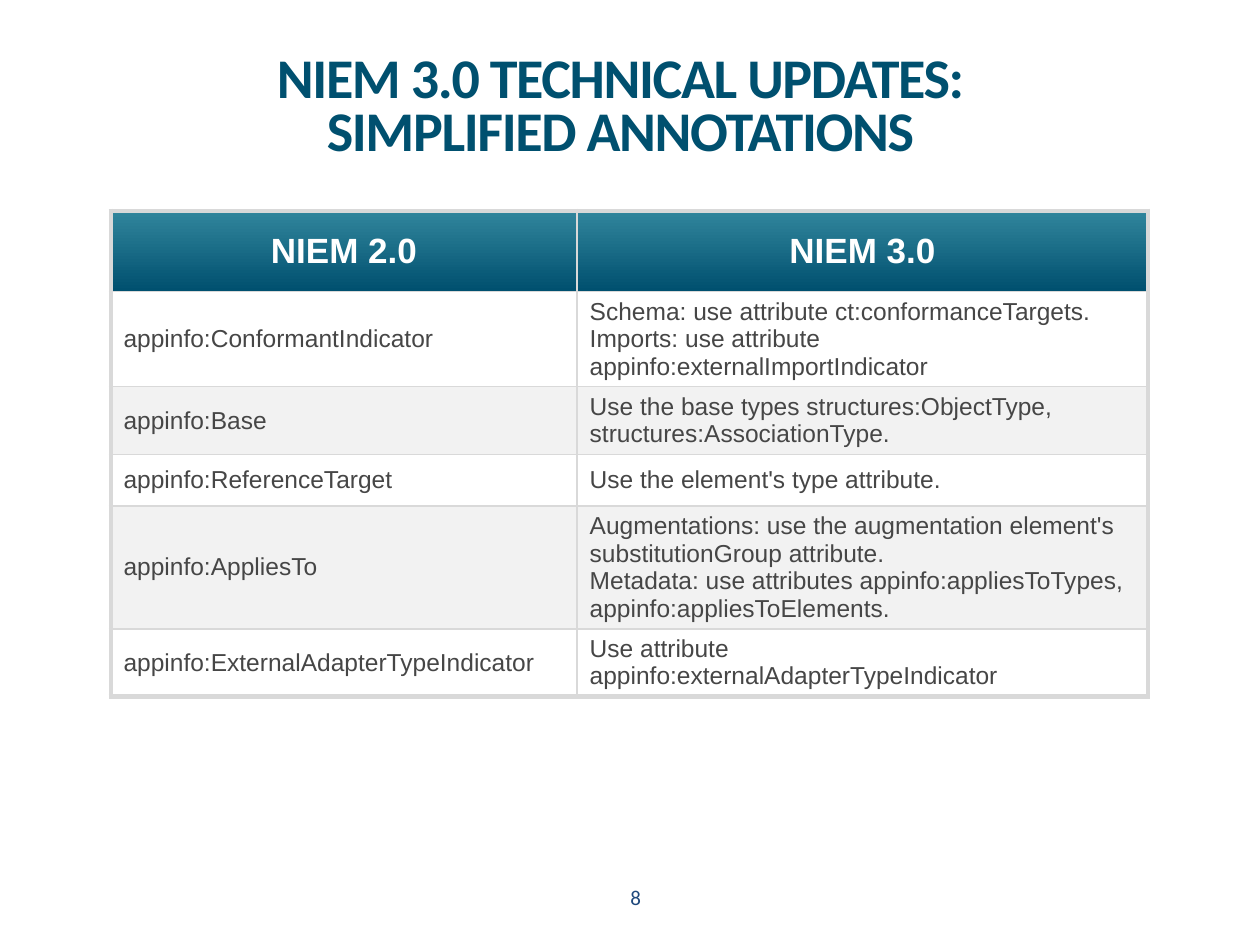
from lxml import etree
from pptx import Presentation
from pptx.dml.color import RGBColor
from pptx.enum.text import MSO_ANCHOR, PP_ALIGN
from pptx.oxml.ns import qn
from pptx.util import Pt

CENTER, LEFT = PP_ALIGN.CENTER, PP_ALIGN.LEFT
MIDDLE = MSO_ANCHOR.MIDDLE
TITLE_ONLY = 5

COLORS = {
    "title": "00506F",
    "header_top": "31859C",
    "header_text": "FFFFFF",
    "body": "464646",
    "band": "F2F2F2",
    "border": "D9D9D9",
    "number": "1F497D",
}
TITLE = ["NIEM 3.0 TECHNICAL UPDATES:", "SIMPLIFIED ANNOTATIONS"]
ROWS = [
    (46, ["NIEM 2.0"], ["NIEM 3.0"]),
    (54.5, ["appinfo:ConformantIndicator"],
     ["Schema: use attribute ct:conformanceTargets.",
      "Imports: use attribute appinfo:externalImportIndicator"]),
    (38.5, ["appinfo:Base"],
     ["Use the base types structures:ObjectType, structures:AssociationType."]),
    (29.5, ["appinfo:ReferenceTarget"], ["Use the element's type attribute."]),
    (70, ["appinfo:AppliesTo"],
     ["Augmentations: use the augmentation element's substitutionGroup attribute.",
      "Metadata: use attributes appinfo:appliesToTypes, appinfo:appliesToElements."]),
    (38.5, ["appinfo:ExternalAdapterTypeIndicator"],
     ["Use attribute appinfo:externalAdapterTypeIndicator"]),
]
COL_WIDTHS = [266.4, 326.2]


def rgb(name):
    return RGBColor.from_string(COLORS[name])


def add_run(p, text, font, size, color, bold=False):
    r = p.add_run()
    r.text = text
    r.font.name = font
    r.font.size = Pt(size)
    r.font.bold = bold
    r.font.color.rgb = rgb(color)
    return r


def place(sp, left, top, width, height):
    sp.left, sp.top, sp.width, sp.height = Pt(left), Pt(top), Pt(width), Pt(height)


def add_title(s):
    sp = s.shapes.title
    place(sp, 36, 30.2, 637.2, 64.1)
    tf = sp.text_frame
    tf.margin_left = tf.margin_right = tf.margin_top = tf.margin_bottom = 0
    tf.vertical_anchor = MIDDLE
    p = tf.paragraphs[0]
    p.alignment = CENTER
    p.line_spacing = 0.8
    for i, line in enumerate(TITLE):
        if i:
            p.add_line_break()
        r = add_run(p, line, "Calibri", 32, "title", True)
        r.font._element.set("spc", "-80")


def add_slide_number(s, number):
    sp = s.shapes.add_textbox(Pt(279.4), Pt(501.8), Pt(167.8), Pt(28.8))
    tf = sp.text_frame
    tf.word_wrap = True
    p = tf.paragraphs[0]
    p.alignment = CENTER
    add_run(p, number, "Calibri", 12, "number")


def fill_cell(cell, row):
    if row == 0:
        cell.fill.gradient()
        cell.fill.gradient_angle = 90
        for stop, color in zip(cell.fill.gradient_stops, ("title", "header_top")):
            stop.color.rgb = rgb(color)
    elif row % 2 == 0:
        cell.fill.solid()
        cell.fill.fore_color.rgb = rgb("band")
    else:
        cell.fill.background()


def set_borders(cell, widths):
    tc_pr = cell._tc.get_or_add_tcPr()
    for i, (side, width) in enumerate(widths.items()):
        ln = etree.Element(qn(f"a:ln{side}"), w=str(Pt(width)))
        fill = etree.SubElement(ln, qn("a:solidFill"))
        etree.SubElement(fill, qn("a:srgbClr"), val=COLORS["border"])
        tc_pr.insert(i, ln)


def write_cell(cell, lines, header):
    cell.vertical_anchor = MIDDLE
    tf = cell.text_frame
    for i, line in enumerate(lines):
        p = tf.add_paragraph() if i else tf.paragraphs[0]
        p.alignment = CENTER if header else LEFT
        if header:
            add_run(p, line, "Arial", 20, "header_text", True)
        else:
            add_run(p, line, "Arial", 14, "body")


def add_comparison_table(s):
    height = sum(row[0] for row in ROWS)
    frame = s.shapes.add_table(len(ROWS), len(COL_WIDTHS), Pt(63.4), Pt(120.5),
                               Pt(sum(COL_WIDTHS)), Pt(height))
    table = frame.table
    table.horz_banding = False
    for column, width in zip(table.columns, COL_WIDTHS):
        column.width = Pt(width)
    last_row, last_col = len(ROWS) - 1, len(COL_WIDTHS) - 1
    for i, (row_height, *texts) in enumerate(ROWS):
        table.rows[i].height = Pt(row_height)
        for j, lines in enumerate(texts):
            cell = table.cell(i, j)
            write_cell(cell, lines, i == 0)
            fill_cell(cell, i)
            outer = {"L": j == 0, "R": j == last_col, "T": i == 0, "B": i == last_row}
            set_borders(cell, {side: 3 if edge else 1 for side, edge in outer.items()})


def main():
    prs = Presentation()
    prs.slide_width, prs.slide_height = Pt(720), Pt(540)
    s = prs.slides.add_slide(prs.slide_layouts[TITLE_ONLY])
    add_title(s)
    add_comparison_table(s)
    add_slide_number(s, "8")
    prs.save("out.pptx")


if __name__ == "__main__":
    main()
